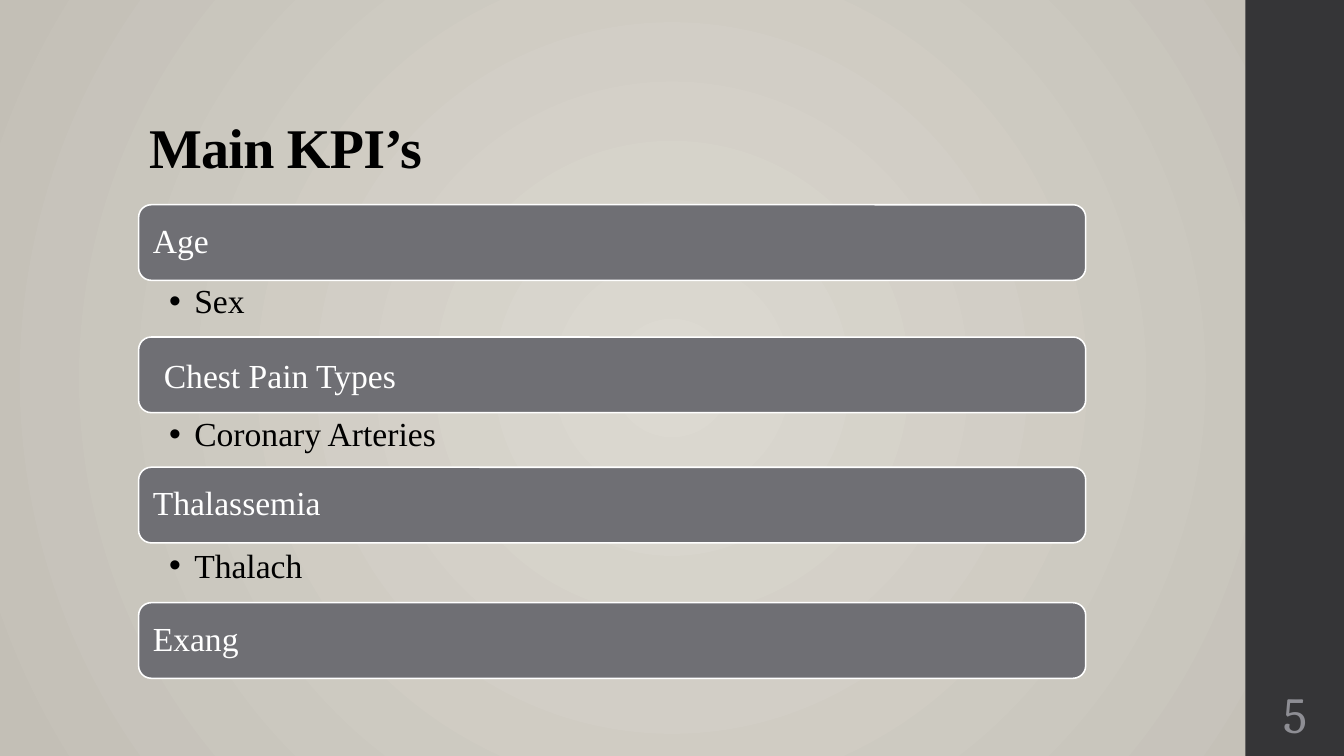
from pptx import Presentation
from pptx.dml.color import RGBColor
from pptx.enum.shapes import MSO_SHAPE as Shape
from pptx.enum.text import MSO_ANCHOR as Anchor, PP_ALIGN as Align
from pptx.oxml import parse_xml
from pptx.oxml.ns import nsdecls
from pptx.util import Emu, Pt

PX = 9525
WIDTH, HEIGHT = 1280, 720
SERIF, NUMBER_FONT = "Times New Roman", "Cambria"
WHITE, BLACK, GREY, DARK, PALE = "FFFFFF", "000000", "6F6F74", "353537", "8E8E94"
BAR_HEIGHT = 72
BARS = [
    (195, 10, [("Age", 24, SERIF)]),
    (321, 12, [(" ", 29, NUMBER_FONT), ("Chest Pain Types", 24, SERIF)]),
    (445, 10, [("Thalassemia", 24, SERIF)]),
    (574, 10, [("Exang", 24, SERIF)]),
]
DETAILS = [(267, "Sex"), (394, "Coronary Arteries"), (519, "Thalach")]


def px(count):
    """Turn px into EMU."""
    return Emu(count * PX)


def color(code):
    """Turn a hex string into a colour."""
    return RGBColor.from_string(code)


def add_panel(page, box, kind, fill, line=None):
    """Add a flat preset shape."""
    panel = page.shapes.add_shape(kind, *map(px, box))
    panel.shadow.inherit = False
    panel.fill.solid()
    panel.fill.fore_color.rgb = color(fill)
    if line:
        panel.line.color.rgb = color(line)
        panel.line.width = Pt(1.1)
    else:
        panel.line.fill.background()
    return panel


def write(shape, runs, ink, insets, anchor, align=Align.LEFT, spacing=0.9):
    """Fill a shape with one paragraph of runs and return the paragraph."""
    frame = shape.text_frame
    frame.word_wrap = True
    frame.vertical_anchor = anchor
    (frame.margin_left, frame.margin_top,
     frame.margin_right, frame.margin_bottom) = map(px, insets)
    para = frame.paragraphs[0]
    para.alignment = align
    para.line_spacing = spacing
    for text, size, font in runs:
        span = para.add_run()
        span.text = text
        span.font.size = Pt(size)
        span.font.name = font
        span.font.color.rgb = color(ink)
    return para


def paint_background(page):
    """Give the page a radial gradient."""
    page.background.fill.solid()
    properties = page.element.cSld.find(".//{*}bgPr")
    gradient = parse_xml(
        f'<a:gradFill {nsdecls("a")} rotWithShape="1"><a:gsLst>'
        '<a:gs pos="0"><a:srgbClr val="DCD9D1"/></a:gs>'
        '<a:gs pos="100000"><a:srgbClr val="C3BFB6"/></a:gs></a:gsLst>'
        '<a:path path="circle">'
        '<a:fillToRect l="100000" t="100000" r="100000" b="100000"/>'
        '</a:path></a:gradFill>')
    properties.replace(properties[0], gradient)


def add_sidebar(page, left, top, width, height):
    """Add the dark side strip with the slide number at its foot."""
    add_panel(page, (left, top, width, height), Shape.RECTANGLE, DARK)
    number = page.shapes.add_textbox(
        *map(px, (left, top + height - 72, width, 62)))
    write(number, [("5", 36, NUMBER_FONT)], PALE, (5, 5, 5, 5),
          Anchor.MIDDLE, Align.CENTER, 1)


def add_title(page, *box):
    """Add the bold heading at the bottom of its box."""
    title = page.shapes.add_textbox(*map(px, box))
    para = write(title, [("Main KPI’s", 40, SERIF)], BLACK, (10, 5, 10, 5),
                 Anchor.BOTTOM)
    span = para.runs[0]
    span.font.bold = True
    span.font._element.set("spc", "-50")


def add_detail(page, left, top, width, text):
    """Add a bulleted line below a bar."""
    detail = page.shapes.add_textbox(*map(px, (left, top, width, 54)))
    para = write(detail, [(text, 24, SERIF)], BLACK, (29, 4, 23, 4), Anchor.TOP)
    para.level = 1
    properties = para._p.get_or_add_pPr()
    properties.set("marL", str(px(24)))
    properties.set("indent", str(px(-24)))
    properties.append(parse_xml(f'<a:buFont {nsdecls("a")} typeface="Arial"/>'))
    properties.append(parse_xml(f'<a:buChar {nsdecls("a")} char="•"/>'))


def add_kpi_list(page, left, width):
    """Add the rounded bars and the bulleted lines between them."""
    for top, inset, runs in BARS:
        bar = add_panel(page, (left, top, width, BAR_HEIGHT),
                        Shape.ROUNDED_RECTANGLE, GREY, WHITE)
        write(bar, runs, WHITE, (inset,) * 4, Anchor.MIDDLE)
    for top, text in DETAILS:
        add_detail(page, left, top, width, text)


def main():
    """Build the slide and save it."""
    deck = Presentation()
    deck.slide_width, deck.slide_height = px(WIDTH), px(HEIGHT)
    page = deck.slides.add_slide(deck.slide_layouts[6])
    paint_background(page)
    add_sidebar(page, 1186, 0, 95, HEIGHT)
    add_title(page, 132, 38, 1018, 139)
    add_kpi_list(page, 132, 902)
    deck.save("out.pptx")


if __name__ == "__main__":
    main()
